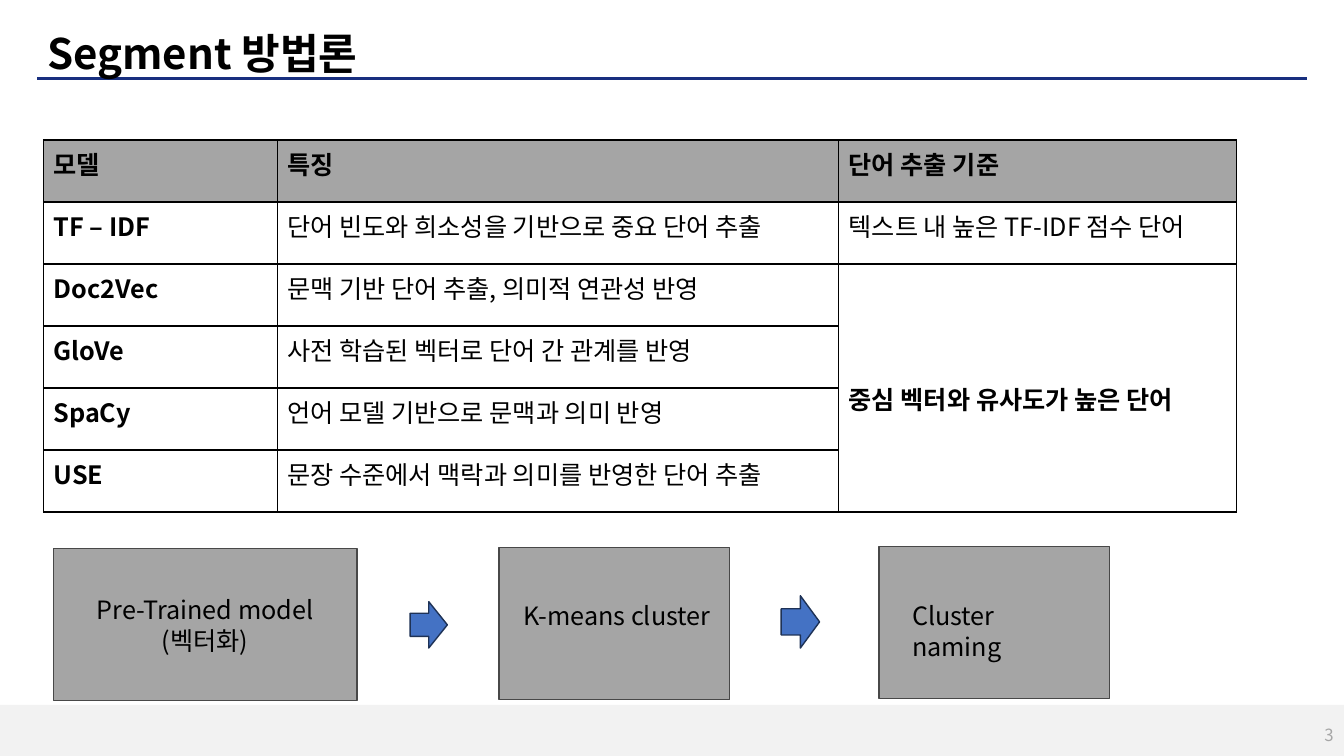
from dataclasses import dataclass

from lxml import etree
from pptx import Presentation
from pptx.dml.color import RGBColor
from pptx.enum.shapes import MSO_CONNECTOR, MSO_SHAPE
from pptx.enum.text import MSO_ANCHOR, PP_ALIGN
from pptx.oxml.ns import qn
from pptx.util import Pt

RECT, ARROW = MSO_SHAPE.RECTANGLE, MSO_SHAPE.RIGHT_ARROW
STRAIGHT = MSO_CONNECTOR.STRAIGHT
TOP, MIDDLE = MSO_ANCHOR.TOP, MSO_ANCHOR.MIDDLE
LEFT, CENTER, RIGHT = PP_ALIGN.LEFT, PP_ALIGN.CENTER, PP_ALIGN.RIGHT


@dataclass(frozen=True)
class Theme:
    font: str = "Noto Sans CJK KR"
    text: str = "000000"
    page: str = "FFFFFF"
    gray: str = "A5A5A5"
    box_line: str = "484848"
    arrow: str = "4472C4"
    arrow_line: str = "1E3256"
    rule: str = "182F7F"
    footer: str = "F2F2F2"
    number: str = "A6A6A6"
    title_size: int = 30
    body_size: int = 18
    number_size: int = 12


T = Theme()
WIDTH, HEIGHT = 960, 540
TITLE = "Segment 방법론"
PAGE_NUMBER = "3"
HEADER = ("모델", "특징", "단어 추출 기준")
MODELS = [
    ("TF – IDF", "단어 빈도와 희소성을 기반으로 중요 단어 추출", "텍스트 내 높은 TF-IDF 점수 단어"),
    ("Doc2Vec", "문맥 기반 단어 추출, 의미적 연관성 반영", "중심 벡터와 유사도가 높은 단어"),
    ("GloVe", "사전 학습된 벡터로 단어 간 관계를 반영", ""),
    ("SpaCy", "언어 모델 기반으로 문맥과 의미 반영", ""),
    ("USE", "문장 수준에서 맥락과 의미를 반영한 단어 추출", ""),
]
TABLE_LEFT, TABLE_TOP, ROW_HEIGHT = 31, 100, 44.3
COLUMN_WIDTHS = (167, 401, 284)
MERGED_ROW = 2

# Each step: box, label frame, label lines, alignment
STEPS = [
    ((38.2, 391.7, 216.7, 108.7), (58.3, 421.2, 176.4, 51), ["Pre-Trained model", "(벡터화)"], CENTER),
    ((356.4, 391, 164.9, 108.7), (366.5, 425.5, 154.8, 29), ["K-means cluster"], LEFT),
    ((627.8, 390.2, 164.9, 108.7), (644.4, 425.5, 140.4, 29), ["Cluster naming"], LEFT),
]
ARROWS = [(293, 429.8, 26.6, 33.1), (558, 425.5, 27.4, 37.4)]


def rgb(value):
    return RGBColor.from_string(value)


def points(frame):
    return [Pt(v) for v in frame]


def write(tf, lines, size=T.body_size, color=T.text, bold=False, align=LEFT):
    for i, line in enumerate(lines):
        p = tf.paragraphs[0] if i == 0 else tf.add_paragraph()
        p.alignment = align
        r = p.add_run()
        r.text = line
        formats = {"size": Pt(size), "bold": bold, "name": T.font}
        for name, value in formats.items():
            setattr(r.font, name, value)
        r.font.color.rgb = rgb(color)
        latin = r.font._element.find(qn("a:latin"))
        east_asian = etree.Element(qn("a:ea"), typeface=T.font)
        latin.addnext(east_asian)


def add_shape(s, kind, frame, fill, line=None):
    sp = s.shapes.add_shape(kind, *points(frame))
    sp.shadow.inherit = False
    sp.fill.solid()
    sp.fill.fore_color.rgb = rgb(fill)
    if line:
        sp.line.color.rgb = rgb(line)
        sp.line.width = Pt(1)
    else:
        sp.line.fill.background()


def add_text(s, frame, lines, anchor=TOP, **formats):
    tf = s.shapes.add_textbox(*points(frame)).text_frame
    tf.word_wrap = True
    tf.vertical_anchor = anchor
    write(tf, lines, **formats)


def add_borders(cell):
    tc_pr = cell._tc.get_or_add_tcPr()
    for i, side in enumerate(("lnL", "lnR", "lnT", "lnB")):
        ln = etree.Element(qn(f"a:{side}"), w=str(Pt(1)))
        fill = etree.SubElement(ln, qn("a:solidFill"))
        etree.SubElement(fill, qn("a:srgbClr"), val=T.text)
        tc_pr.insert(i, ln)


def add_model_table(s):
    rows = [HEADER] + MODELS
    frame = (TABLE_LEFT, TABLE_TOP, sum(COLUMN_WIDTHS), ROW_HEIGHT * len(rows))
    table = s.shapes.add_table(len(rows), len(HEADER), *points(frame)).table
    table.first_row = table.horz_banding = False
    for column, width in zip(table.columns, COLUMN_WIDTHS):
        column.width = Pt(width)
    for i, row in enumerate(rows):
        table.rows[i].height = Pt(ROW_HEIGHT)
        for j, text in enumerate(row):
            cell = table.cell(i, j)
            cell.fill.solid()
            cell.fill.fore_color.rgb = rgb(T.page if i else T.gray)
            add_borders(cell)
            if text:
                bold = i == 0 or j == 0 or (i, j) == (MERGED_ROW, 2)
                write(cell.text_frame, [text], bold=bold)
    criterion = table.cell(MERGED_ROW, 2)
    criterion.merge(table.cell(len(rows) - 1, 2))
    criterion.vertical_anchor = MIDDLE
    criterion.margin_top = Pt(18)


def add_frame(s):
    """Add the footer band, page number, title and the rule under it."""
    add_shape(s, RECT, (0, 503.5, WIDTH, 36.5), T.footer)
    rule = s.shapes.add_connector(STRAIGHT, *points((26.6, 56, 933.8, 56)))
    rule.line.color.rgb = rgb(T.rule)
    rule.line.width = Pt(2.25)
    etree.SubElement(rule.element.spPr, qn("a:effectLst"))
    add_text(s, (743.8, 510.5, 216, 28.8), [PAGE_NUMBER], anchor=MIDDLE,
             size=T.number_size, color=T.number, align=RIGHT)

    title = s.shapes.title
    title.left, title.top, title.width, title.height = points((26.6, 16, 907, 44))
    tf = title.text_frame
    tf.vertical_anchor = MIDDLE
    tf.margin_top = tf.margin_bottom = 0
    write(tf, [TITLE], size=T.title_size, bold=True)
    title.element.getparent().append(title.element)


def main():
    prs = Presentation()
    prs.slide_width, prs.slide_height = Pt(WIDTH), Pt(HEIGHT)
    s = prs.slides.add_slide(prs.slide_layouts[5])
    add_frame(s)
    add_model_table(s)
    for box, label, lines, align in STEPS:
        add_shape(s, RECT, box, T.gray, T.box_line)
        add_text(s, label, lines, align=align)
    for frame in ARROWS:
        add_shape(s, ARROW, frame, T.arrow, T.arrow_line)
    prs.save("out.pptx")


if __name__ == "__main__":
    main()
